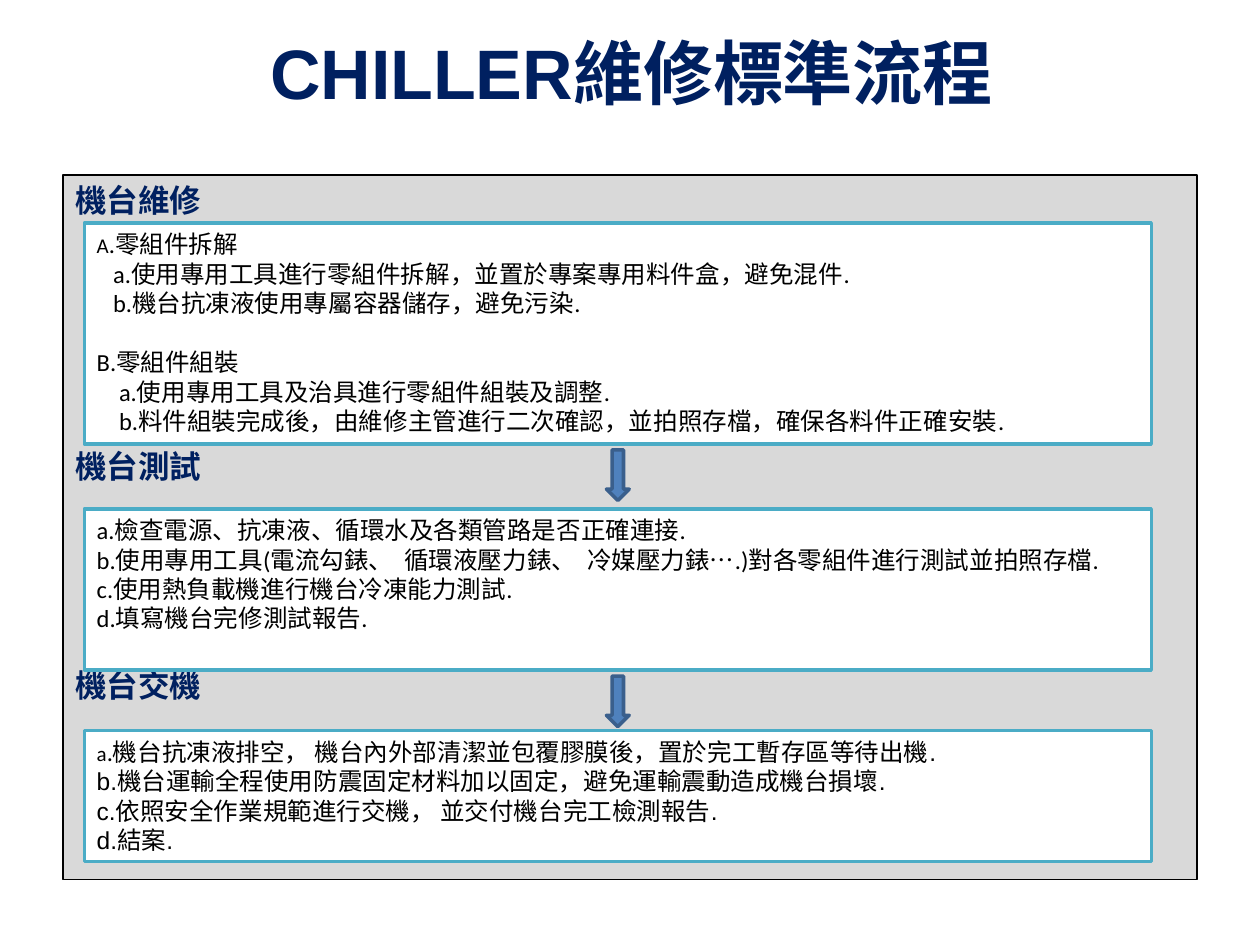
from typing import NamedTuple

from pptx import Presentation
from pptx.dml.color import RGBColor
from pptx.enum.shapes import MSO_SHAPE
from pptx.enum.text import MSO_ANCHOR, PP_ALIGN
from pptx.util import Cm, Pt

RECT = MSO_SHAPE.RECTANGLE
DOWN_ARROW = MSO_SHAPE.DOWN_ARROW
TOP, MIDDLE = MSO_ANCHOR.TOP, MSO_ANCHOR.MIDDLE
LEFT, CENTER = PP_ALIGN.LEFT, PP_ALIGN.CENTER

NAVY = RGBColor(0x00, 0x20, 0x60)
BLACK = RGBColor(0x00, 0x00, 0x00)
WHITE = RGBColor(0xFF, 0xFF, 0xFF)
GRAY = RGBColor(0xD9, 0xD9, 0xD9)
TEAL = RGBColor(0x4B, 0xAC, 0xC6)
BLUE = RGBColor(0x4F, 0x81, 0xBD)
DARK_BLUE = RGBColor(0x3A, 0x5F, 0x8C)

CALIBRI, ARIAL, NOTO = "Calibri", "Arial", "Noto Sans CJK TC"
TITLE_FORMAT = {"name": ARIAL, "size": Pt(40), "bold": True}
HEADING_FORMAT = {"name": CALIBRI, "size": Pt(18), "bold": True}
STEP_LEFT, STEP_WIDTH = 1.7, 21.51
ARROW_WIDTH, ARROW_HEIGHT = 0.46, 1.02
ARROW_LEFT = STEP_LEFT + (STEP_WIDTH - ARROW_WIDTH) / 2


class Span(NamedTuple):
    text: str
    font: str = CALIBRI
    size: float = 14


class Line(NamedTuple):
    spans: list[Span]
    indent: float = 0
    before: float = 0


class Step(NamedTuple):
    top: float
    height: float
    lines: list[Line]


class Heading(NamedTuple):
    text: str
    before: float


HEADINGS = [Heading("機台維修", 0), Heading("機台測試", 130), Heading("機台交機", 104)]

STEPS = [
    Step(4.5, 4.45, [
        Line([Span("A", size=12), Span(".零組件拆解")]),
        Line([Span("a.使用專用工具進行零組件拆解，並置於專案專用料件盒，避免混件.")], 0.33),
        Line([Span("b.機台抗凍液使用專屬容器儲存，避免污染.")], 0.33),
        Line([Span("B.零組件組裝")], 0, 17),
        Line([Span("a.使用專用工具及治具進行零組件組裝及調整.")], 0.45),
        Line([Span("b.料件組裝完成後，由維修主管進行二次確認，並拍照存檔，確保各料件正確安裝.")], 0.45),
    ]),
    Step(10.26, 3.25, [
        Line([Span("a.檢查電源"), Span("、", NOTO), Span("抗凍液、循環水及各類管路是否正確連接.")]),
        Line([Span("b.使用專用工具(電流勾錶、  循環液壓力錶、  冷媒壓力錶….)對各零組件進行測試並拍照存檔.")]),
        Line([Span("c.使用熱負載機進行機台冷凍能力測試.")]),
        Line([Span("d.填寫機台完修測試報告.")]),
    ]),
    Step(14.73, 2.64, [
        Line([
            Span("a", size=12),
            Span("."),
            Span("機台抗凍液排空， 機台內外部清潔並包覆膠膜後，置於完工暫存區等待出機.", ARIAL),
        ]),
        Line([Span("b.機台運輸全程使用防震固定材料加以固定，避免運輸震動造成機台損壞.", ARIAL)]),
        Line([Span("c.依照安全作業規範進行交機， 並交付機台完工檢測報告.", ARIAL)]),
        Line([Span("d.結案.", ARIAL)]),
    ]),
]


def add_box(s, kind, left: float, top: float, width: float, height: float,
            fill: RGBColor, line: RGBColor, weight: float):
    sp = s.shapes.add_shape(kind, Cm(left), Cm(top), Cm(width), Cm(height))
    sp.shadow.inherit = False
    sp.fill.solid()
    sp.fill.fore_color.rgb = fill
    sp.line.color.rgb = line
    sp.line.width = Pt(weight)
    sp.text_frame.word_wrap = True
    sp.text_frame.vertical_anchor = TOP
    return sp


def add_run(p, text: str, color: RGBColor, formats: dict) -> None:
    r = p.add_run()
    r.text = text
    r.font.color.rgb = color
    for key, value in formats.items():
        setattr(r.font, key, value)


def add_paragraph(tf, index: int, before: float = 0, indent: float = 0):
    p = tf.add_paragraph() if index else tf.paragraphs[0]
    p.alignment = LEFT
    if before:
        p.space_before = Pt(before)
    if indent:
        p._p.get_or_add_pPr().set("marL", str(Cm(indent)))
    return p


def add_title(s, text: str) -> None:
    sp = s.shapes.title
    sp.left, sp.top, sp.width, sp.height = Cm(1.3), Cm(0.33), Cm(22.86), Cm(2.21)
    tf = sp.text_frame
    tf.vertical_anchor = MIDDLE
    p = tf.paragraphs[0]
    p.alignment = CENTER
    add_run(p, text, NAVY, TITLE_FORMAT)


def add_panel(s, headings: list[Heading]) -> None:
    sp = add_box(s, RECT, 1.27, 3.53, 22.86, 14.2, GRAY, BLACK, 0.75)
    for i, heading in enumerate(headings):
        p = add_paragraph(sp.text_frame, i, heading.before)
        add_run(p, heading.text, NAVY, HEADING_FORMAT)


def add_step(s, step: Step) -> None:
    sp = add_box(s, RECT, STEP_LEFT, step.top, STEP_WIDTH, step.height, WHITE, TEAL, 2)
    for i, line in enumerate(step.lines):
        p = add_paragraph(sp.text_frame, i, line.before, line.indent)
        for span in line.spans:
            add_run(p, span.text, BLACK, {"name": span.font, "size": Pt(span.size)})


def main() -> None:
    prs = Presentation()
    prs.slide_width, prs.slide_height = Cm(25.4), Cm(19.05)
    s = prs.slides.add_slide(prs.slide_layouts[5])
    add_title(s, "CHILLER維修標準流程")
    add_panel(s, HEADINGS)
    for step in STEPS:
        add_step(s, step)
    for step in STEPS[:-1]:
        add_box(s, DOWN_ARROW, ARROW_LEFT, step.top + step.height + 0.12,
                ARROW_WIDTH, ARROW_HEIGHT, BLUE, DARK_BLUE, 2)
    prs.save("out.pptx")


if __name__ == "__main__":
    main()
